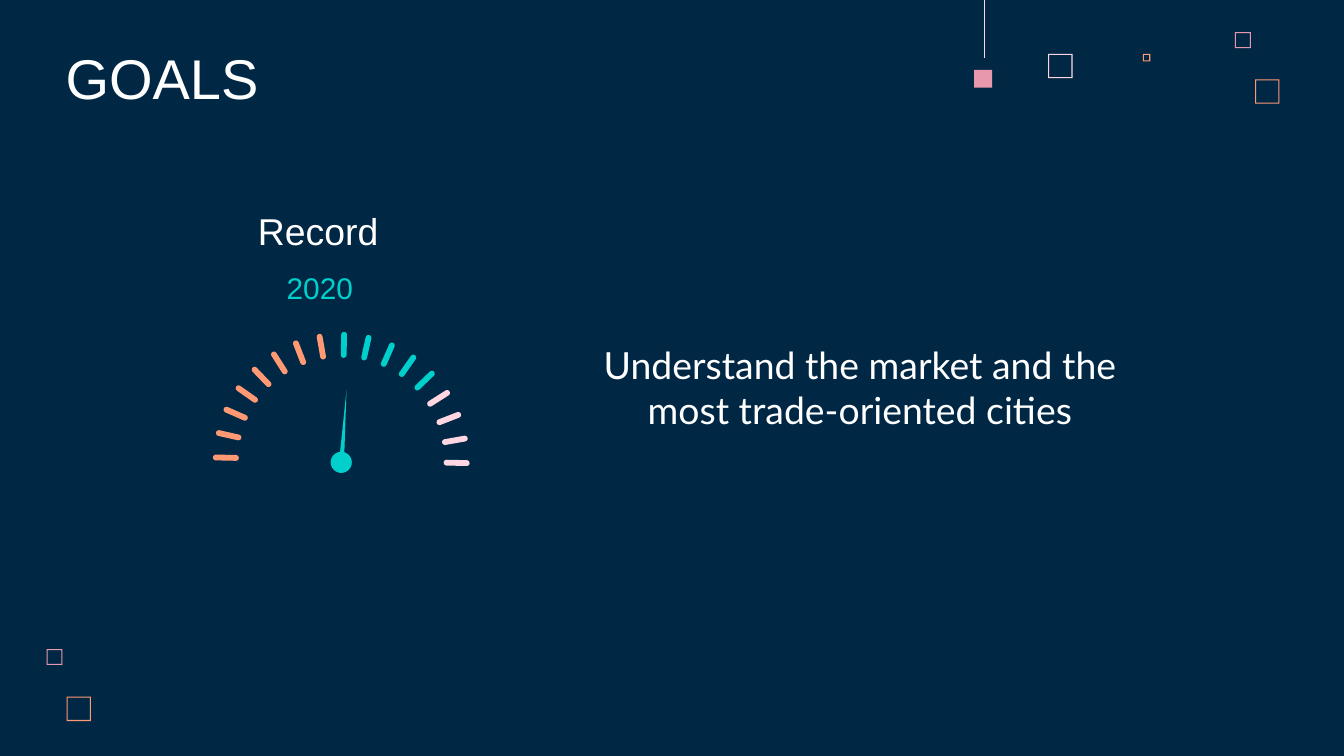
from dataclasses import dataclass
from math import cos, radians, sin

from lxml.etree import SubElement
from pptx import Presentation
from pptx.dml.color import RGBColor
from pptx.enum.shapes import MSO_CONNECTOR, MSO_SHAPE
from pptx.enum.text import MSO_ANCHOR, MSO_AUTO_SIZE, PP_ALIGN
from pptx.oxml.ns import qn
from pptx.util import Cm, Pt


@dataclass(frozen=True)
class Theme:
    background: str = "002845"
    white: str = "FFFFFF"
    teal: str = "00CFCC"
    orange: str = "FF9973"
    rose: str = "E898AC"
    blush: str = "FFD6E1"
    heading_font: str = "Arial"
    body_font: str = "Lato"
    title_size: int = 30
    body_size: int = 20
    year_size: int = 16
    inset: float = 0.25
    frame_width: float = 0.02


class SlideBuilder:
    """Draws styled elements on one slide; lengths are centimetres."""

    def __init__(self, slide, theme):
        self.slide = slide
        self.theme = theme
        fill = slide.background.fill
        fill.solid()
        fill.fore_color.rgb = RGBColor.from_string(theme.background)

    def paint(self, shape, color):
        shape.shadow.inherit = False
        shape.fill.solid()
        shape.fill.fore_color.rgb = RGBColor.from_string(color)
        shape.line.fill.background()
        return shape

    def shape(self, kind, left, top, width, height, color):
        shape = self.slide.shapes.add_shape(
            kind, Cm(left), Cm(top), Cm(width), Cm(height))
        return self.paint(shape, color)

    def frame(self, left, top, size, color):
        shape = self.shape(MSO_SHAPE.FRAME, left, top, size, size, color)
        shape.adjustments[0] = self.theme.frame_width / size

    def line(self, start, end, color, width):
        connector = self.slide.shapes.add_connector(
            MSO_CONNECTOR.STRAIGHT, *map(Cm, start + end))
        connector.line.color.rgb = RGBColor.from_string(color)
        connector.line.width = Pt(width)
        SubElement(connector.element.spPr, qn("a:effectLst"))

    def polygon(self, points, color):
        first, *others = [(Cm(x), Cm(y)) for x, y in points]
        builder = self.slide.shapes.build_freeform(*first)
        builder.add_line_segments(others, close=True)
        self.paint(builder.convert_to_shape(), color)

    def tick(self, center, radius, angle, color):
        """Place a rounded bar on an arc, angle clockwise from the top."""
        width, length = 0.11, 0.49
        x = center[0] + radius * sin(radians(angle))
        y = center[1] - radius * cos(radians(angle))
        shape = self.shape(MSO_SHAPE.ROUNDED_RECTANGLE, x - width / 2,
                           y - length / 2, width, length, color)
        shape.adjustments[0] = 0.5
        shape.rotation = angle

    def format_text(self, shape, box, text, size, color, font, align, anchor):
        shape.left, shape.top, shape.width, shape.height = map(Cm, box)
        frame = shape.text_frame
        frame.text = text
        frame.word_wrap = True
        frame.auto_size = MSO_AUTO_SIZE.NONE
        frame.vertical_anchor = anchor
        inset = Cm(self.theme.inset)
        frame.margin_left = frame.margin_right = inset
        frame.margin_top = frame.margin_bottom = inset
        paragraph = frame.paragraphs[0]
        paragraph.alignment = align
        paragraph.font.name = font
        paragraph.font.size = Pt(size)
        paragraph.font.color.rgb = RGBColor.from_string(color)

    def title(self, box, text):
        theme = self.theme
        self.format_text(self.slide.shapes.title, box, text, theme.title_size,
                         theme.white, theme.heading_font, PP_ALIGN.LEFT,
                         MSO_ANCHOR.BOTTOM)

    def label(self, box, text, size, color, font, anchor=MSO_ANCHOR.TOP):
        shape = self.slide.shapes.add_textbox(*map(Cm, box))
        self.format_text(shape, box, text, size, color, font,
                         PP_ALIGN.CENTER, anchor)


def main():
    theme = Theme()
    presentation = Presentation()
    presentation.slide_width = Cm(25.4)
    presentation.slide_height = Cm(14.29)
    slide = presentation.slides.add_slide(presentation.slide_layouts[5])
    builder = SlideBuilder(slide, theme)

    # Decorative squares and hanging line
    for left, top, size, color in (
        (19.81, 1.02, 0.46, theme.blush),
        (23.34, 0.61, 0.3, theme.rose),
        (21.6, 1.02, 0.14, theme.orange),
        (23.72, 1.5, 0.46, theme.orange),
        (0.88, 12.27, 0.3, theme.rose),
        (1.26, 13.17, 0.46, theme.orange),
    ):
        builder.frame(left, top, size, color)
    builder.shape(MSO_SHAPE.RECTANGLE, 18.41, 1.32, 0.34, 0.34, theme.rose)
    builder.line((18.6, 0), (18.6, 1.09), theme.blush, 0.5)

    # Title and texts
    builder.title((0.99, 0.74, 13.13, 1.6), "GOALS")
    builder.label((3.4, 3.23, 5.23, 1.8), "Record", theme.body_size,
                  theme.white, theme.heading_font, MSO_ANCHOR.BOTTOM)
    builder.label((3.43, 4.85, 5.23, 1.17), "2020", theme.year_size,
                  theme.teal, theme.heading_font)
    builder.label((10.31, 6.22, 11.89, 4.93),
                  "Understand the market and the most trade-oriented cities",
                  theme.body_size, theme.white, theme.body_font)

    # Gauge: ticks over a half circle, tilted slightly clockwise
    center, radius, tilt = (6.45, 8.7), 2.18, 1.3
    colors = [theme.orange] * 8 + [theme.teal] * 5 + [theme.blush] * 4
    step = 180 / (len(colors) - 1)
    for index, color in enumerate(colors):
        builder.tick(center, radius, tilt - 90 + index * step, color)

    # Gauge hub and needle
    builder.shape(MSO_SHAPE.OVAL, 6.25, 8.54, 0.4, 0.4, theme.teal)
    builder.polygon([(6.55, 7.37), (6.4, 8.81), (6.5, 8.81)], theme.teal)

    presentation.save("out.pptx")


if __name__ == "__main__":
    main()
